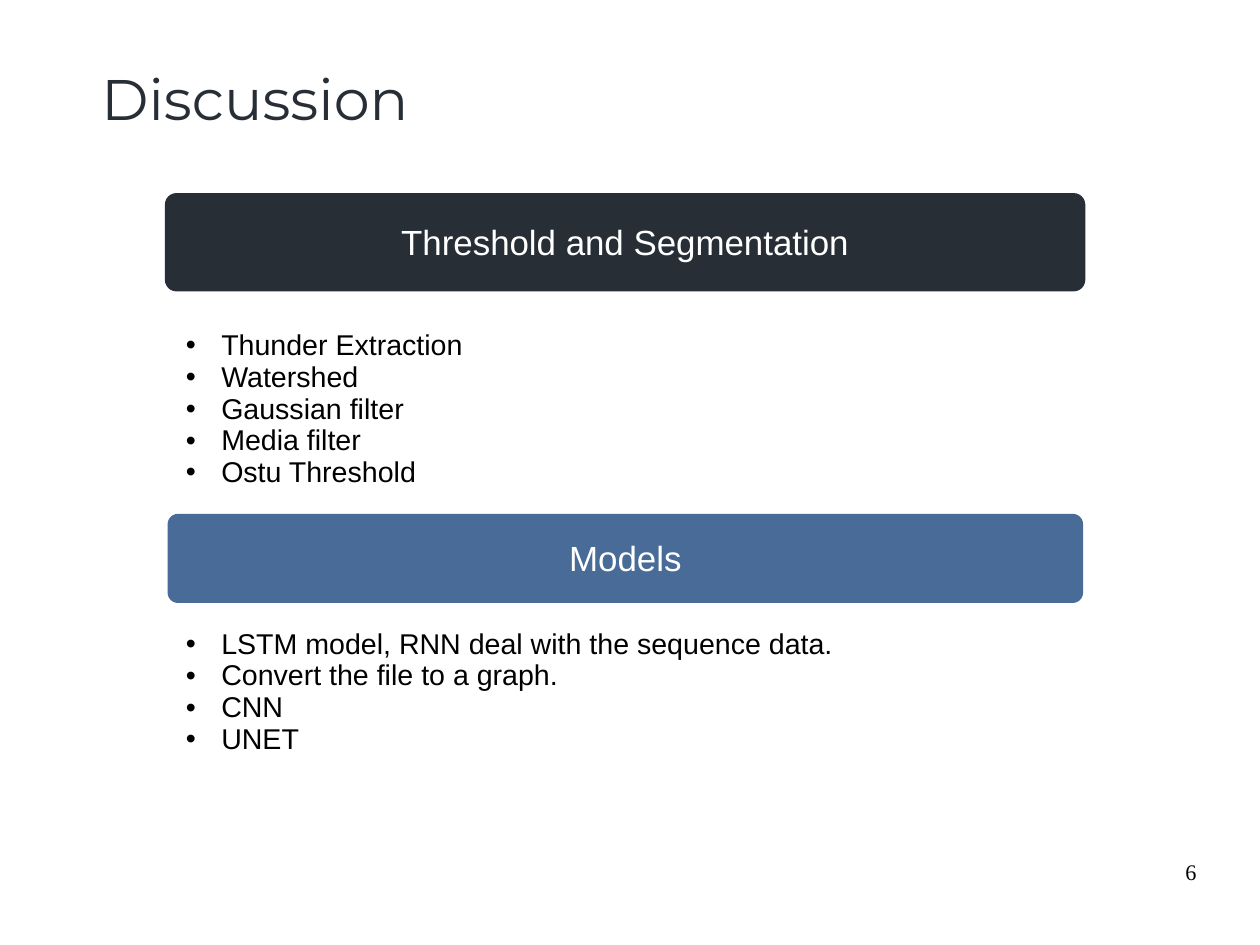
from dataclasses import dataclass

from lxml.etree import SubElement
from pptx import Presentation
from pptx.dml.color import RGBColor
from pptx.enum.shapes import MSO_SHAPE as Shape
from pptx.enum.text import MSO_ANCHOR as Anchor, MSO_AUTO_SIZE as AutoSize, PP_ALIGN as Align
from pptx.oxml.ns import qn
from pptx.slide import Slide
from pptx.text.text import TextFrame
from pptx.util import Cm, Emu, Inches, Pt

WIDTH, HEIGHT = Cm(28), Cm(21)
COLUMNS = ROWS = 100


@dataclass(frozen=True)
class Theme:
    dark: str = "272E36"
    blue: str = "496B98"
    white: str = "FFFFFF"
    black: str = "000000"
    body_font: str = "Arial"
    title_font: str = "Montserrat"
    number_font: str = "Times New Roman"
    title_size: int = 36
    header_size: int = 22
    body_size: int = 18
    number_size: int = 14


THEME = Theme()


@dataclass(frozen=True)
class Box:
    """A place on the slide, in grid columns and rows."""
    col: float
    row: float
    cols: float
    rows: float

    def emu(self) -> tuple[Emu, Emu, Emu, Emu]:
        dx, dy = WIDTH / COLUMNS, HEIGHT / ROWS
        return (Emu(round(self.col * dx)), Emu(round(self.row * dy)),
                Emu(round(self.cols * dx)), Emu(round(self.rows * dy)))


@dataclass(frozen=True)
class Section:
    header: str
    fill: str
    header_box: Box
    points: tuple[str, ...]
    points_box: Box


SECTIONS = (
    Section("Threshold and Segmentation", THEME.dark, Box(13.09, 20.44, 73.05, 10.4),
            ("Thunder Extraction", "Watershed", "Gaussian filter", "Media filter",
             "Ostu Threshold"),
            Box(13.86, 34.3, 72.03, 18.02)),
    Section("Models", THEME.blue, Box(13.3, 54.38, 72.66, 9.43),
            ("LSTM model, RNN deal with the sequence data.", "Convert the file to a graph.",
             "CNN", "UNET"),
            Box(13.86, 65.92, 72.03, 23.1)),
)
TITLE_BOX = Box(7.14, 4.77, 86.82, 9.79)
NUMBER_BOX = Box(71.66, 91.07, 23.31, 6.89)


def write(tf: TextFrame, *lines: str, size: int, font: str = THEME.body_font,
          color: str = THEME.black, align: Align = Align.LEFT, anchor: Anchor = Anchor.TOP,
          spacing: float = 0.93, insets: tuple[float, float, float] = (0.1, 0.05, 0.05),
          bullet: bool = False) -> None:
    """Fill a frame, one paragraph a line; insets are side, top and bottom in inches."""
    side, top, bottom = map(Inches, insets)
    tf.margin_left = tf.margin_right = side
    tf.margin_top, tf.margin_bottom = top, bottom
    tf.word_wrap, tf.auto_size, tf.vertical_anchor = True, AutoSize.NONE, anchor
    for i, line in enumerate(lines):
        p = tf.add_paragraph() if i else tf.paragraphs[0]
        p.alignment, p.line_spacing = align, spacing
        r = p.add_run()
        r.text = line
        r.font.name, r.font.size = font, Pt(size)
        r.font.color.rgb = RGBColor.from_string(color)
        if bullet:
            pPr = p._p.get_or_add_pPr()
            indent = Inches(0.31)
            pPr.set("marL", str(indent))
            pPr.set("indent", str(-indent))
            SubElement(pPr, qn("a:buFont"), typeface=font)
            SubElement(pPr, qn("a:buChar"), char="•")


def add_title(s: Slide, text: str) -> None:
    sp = s.shapes.title
    sp.left, sp.top, sp.width, sp.height = TITLE_BOX.emu()
    write(sp.text_frame, text, size=THEME.title_size, font=THEME.title_font,
          color=THEME.dark, spacing=1.18)


def add_section(s: Slide, section: Section) -> None:
    sp = s.shapes.add_shape(Shape.ROUNDED_RECTANGLE, *section.header_box.emu())
    sp.adjustments[0] = 0.117
    sp.shadow.inherit = False
    sp.fill.solid()
    sp.fill.fore_color.rgb = RGBColor.from_string(section.fill)
    sp.line.fill.background()
    write(sp.text_frame, section.header, size=THEME.header_size, color=THEME.white,
          align=Align.CENTER, anchor=Anchor.MIDDLE, insets=(0.1, 0.07, 0.05))
    points = s.shapes.add_textbox(*section.points_box.emu())
    write(points.text_frame, *section.points, size=THEME.body_size, bullet=True)


def add_number(s: Slide, number: int) -> None:
    sp = s.shapes.add_textbox(*NUMBER_BOX.emu())
    write(sp.text_frame, str(number), size=THEME.number_size, font=THEME.number_font,
          align=Align.RIGHT, spacing=0.95, insets=(0, 0, 0))


def main() -> None:
    prs = Presentation()
    prs.slide_width, prs.slide_height = WIDTH, HEIGHT
    s = prs.slides.add_slide(prs.slide_layouts.get_by_name("Title Only"))
    add_title(s, "Discussion")
    for section in SECTIONS:
        add_section(s, section)
    add_number(s, 6)
    prs.save("out.pptx")


if __name__ == "__main__":
    main()
